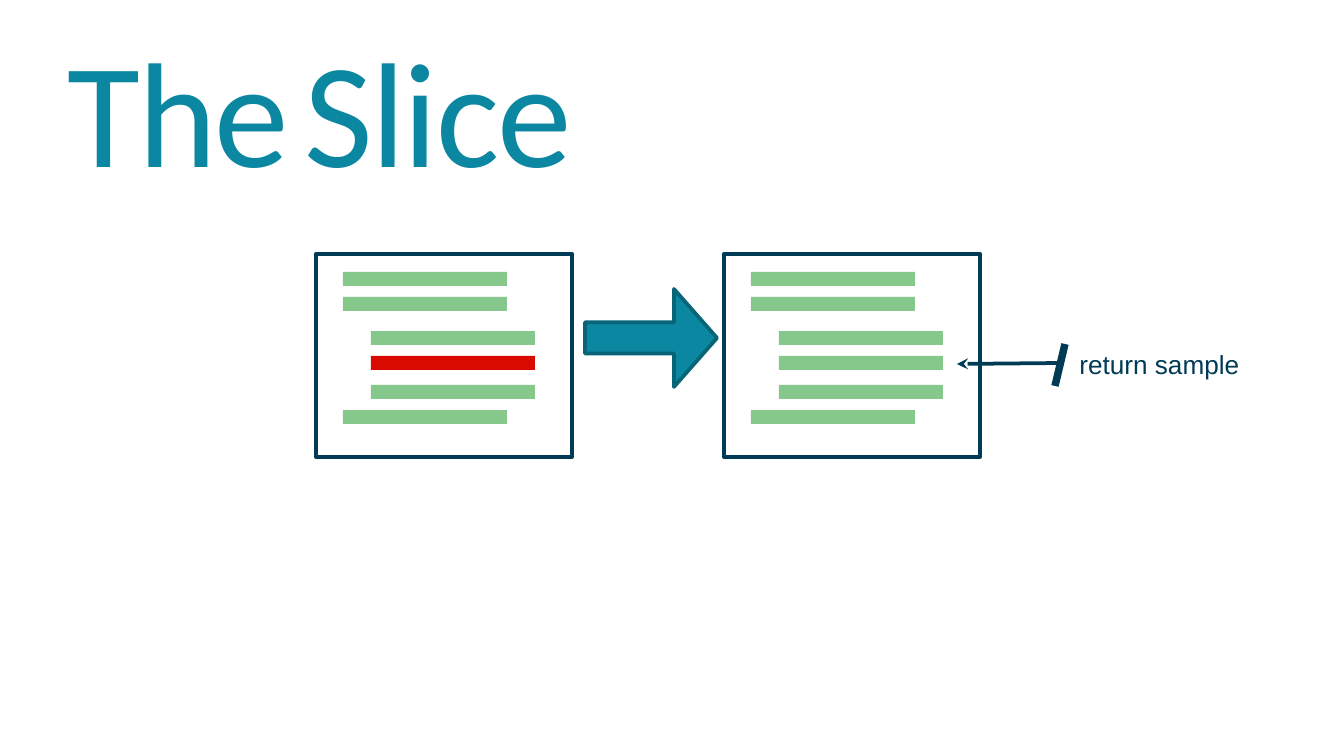
from lxml import etree
from pptx import Presentation, util as u
from pptx.dml.color import RGBColor
from pptx.enum import shapes, text
from pptx.oxml.ns import qn

SCALE = 914400 / 134.4
NAVY, TEAL, DARK_TEAL = "003B55", "0B87A1", "086477"
GREEN, RED, WHITE = "86C88C", "D90B00", "FFFFFF"
# Indent and top of each code line, relative to its listing
CODE_LINES = [(27, 18), (27, 43), (55, 77), (55, 102), (55, 131), (27, 156)]


def px(*lengths):
    """Turn pixels into EMU."""
    return [u.Emu(round(length * SCALE)) for length in lengths]


def color(hex_code):
    """Return the colour of a hex string."""
    return RGBColor.from_string(hex_code)


def add_block(slide, kind, box, fill, line=None):
    """Add a filled preset shape, outlined when a line colour is given."""
    block = slide.shapes.add_shape(kind, *px(*box))
    block.shadow.inherit = False
    block.fill.solid()
    block.fill.fore_color.rgb = color(fill)
    if line:
        block.line.color.rgb = color(line)
        block.line.width = u.Pt(2)
    else:
        block.line.fill.background()
    return block


def add_listing(slide, box, removed=None):
    """Draw a code listing in the box, with the removed line in red."""
    rect = shapes.MSO_SHAPE.RECTANGLE
    add_block(slide, rect, box, WHITE, NAVY)
    for index, (indent, top) in enumerate(CODE_LINES):
        fill = RED if index == removed else GREEN
        add_block(slide, rect, (box[0] + indent, box[1] + top, 164, 14), fill)


def add_line(slide, start, end, width):
    """Add a straight navy line without shadow."""
    line = slide.shapes.add_connector(
        shapes.MSO_CONNECTOR.STRAIGHT, *px(*start, *end))
    line.line.color.rgb = color(NAVY)
    line.line.width = u.Pt(width)
    etree.SubElement(line._element.spPr, qn("a:effectLst"))
    return line


def add_callout(slide, box, words):
    """Draw a pointer, its end bar and a label inside the box."""
    left, top, width, height = box
    pointer = add_line(slide, (left, top + 20), (left + 105, top + 19), 2)
    etree.SubElement(pointer.line._get_or_add_ln(), qn("a:headEnd"), type="stealth")
    add_line(slide, (left + 108, top), (left + 98, top + 42), 4)
    label = slide.shapes.add_textbox(*px(left + 117, top + 4, width - 117, 32))
    frame = label.text_frame
    frame.word_wrap = False
    frame.auto_size = text.MSO_AUTO_SIZE.SHAPE_TO_FIT_TEXT
    frame.margin_left = frame.margin_top = frame.margin_bottom = 0
    frame.margin_right = u.Inches(0.04)
    para = frame.paragraphs[0]
    para.text = words
    para._p.get_or_add_pPr().set("marL", str(u.Inches(0.04)))
    para.alignment = text.PP_ALIGN.LEFT
    para.font.name, para.font.size = "Arial", u.Pt(14)
    para.font.color.rgb = color(NAVY)


def set_title(slide, box):
    """Place the title placeholder and write its words."""
    title = slide.shapes.title
    title.left, title.top, title.width, title.height = px(*box)
    frame = title.text_frame
    frame.word_wrap = True
    frame.auto_size = text.MSO_AUTO_SIZE.NONE
    frame.vertical_anchor = text.MSO_ANCHOR.BOTTOM
    frame.margin_left = frame.margin_right = u.Inches(0.1)
    frame.margin_top = frame.margin_bottom = u.Inches(0.1)
    para = frame.paragraphs[0]
    para.alignment = text.PP_ALIGN.LEFT
    para.font.name = "Calibri"
    para.font.color.rgb = color(TEAL)
    for words, size, spacing in (("The", 80, -100), (" ", 36, 0), ("Slice", 80, -100)):
        span = para.add_run()
        span.text = words
        span.font.size = u.Pt(size)
        span._r.get_or_add_rPr().set("spc", str(spacing))


def build_slide(deck):
    """Build the slide that shows a listing before and after slicing."""
    slide = deck.slides.add_slide(deck.slide_layouts[5])
    set_title(slide, (54, 24, 1236, 187))
    add_listing(slide, (316, 254, 256, 203), removed=3)
    arrow = add_block(slide, shapes.MSO_SHAPE.RIGHT_ARROW,
                      (585, 289, 132, 98), TEAL, DARK_TEAL)
    arrow.adjustments[0], arrow.adjustments[1] = 0.32, 0.44
    add_listing(slide, (724, 254, 256, 203))
    add_callout(slide, (957, 344, 288, 42), "return sample")


deck = Presentation()
deck.slide_width, deck.slide_height = px(1344, 756)
build_slide(deck)
deck.save("out.pptx")
